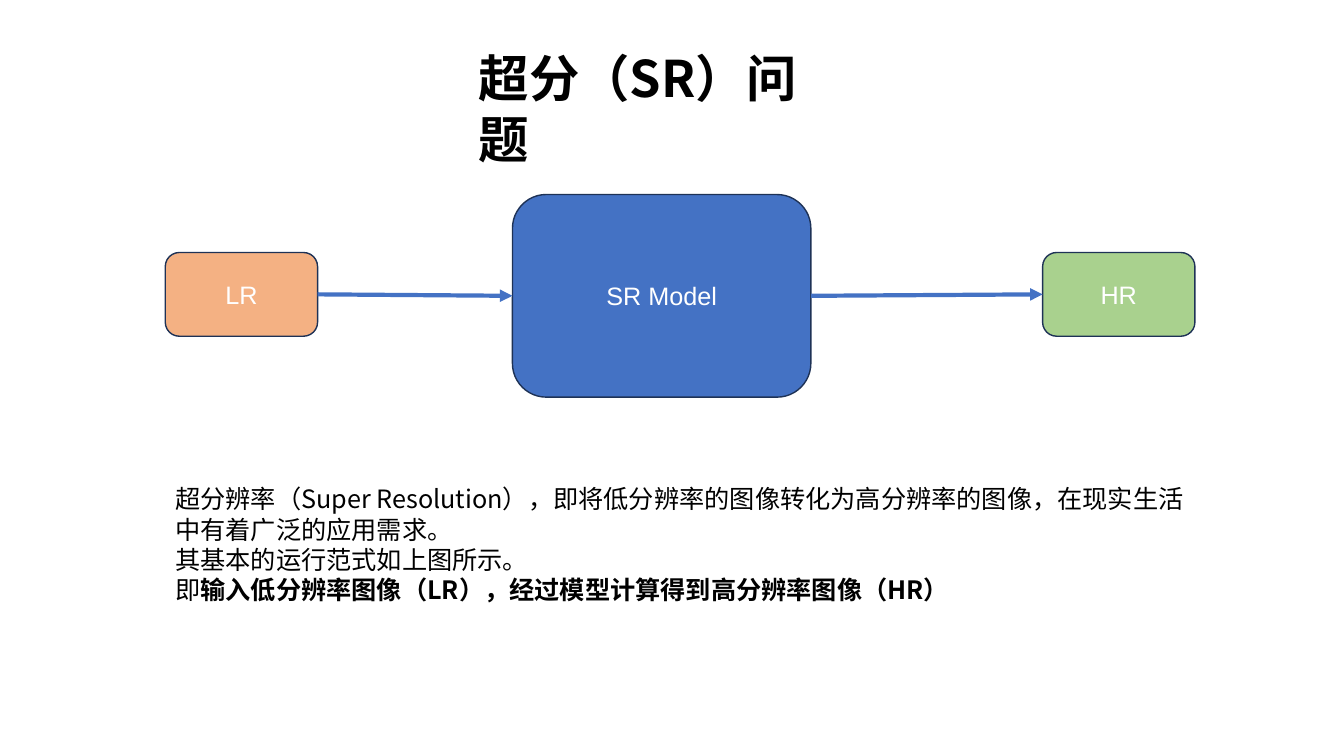
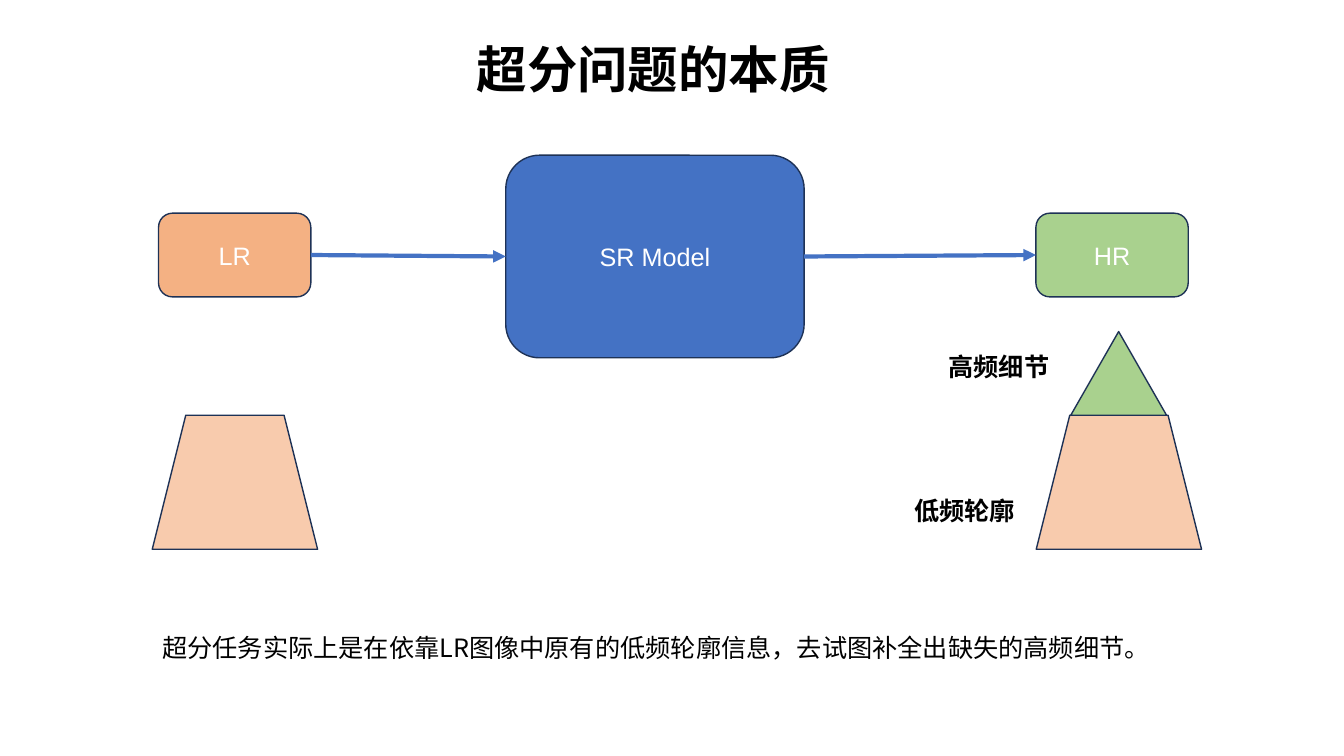
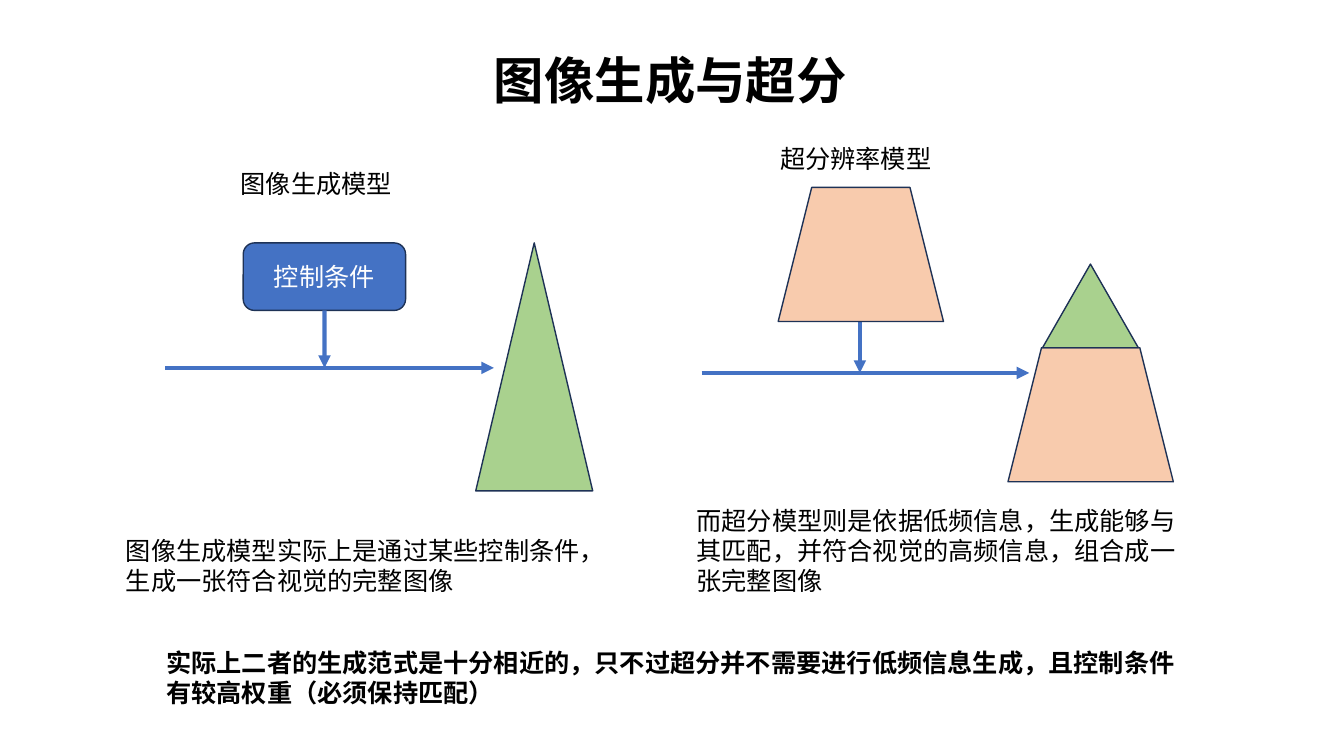
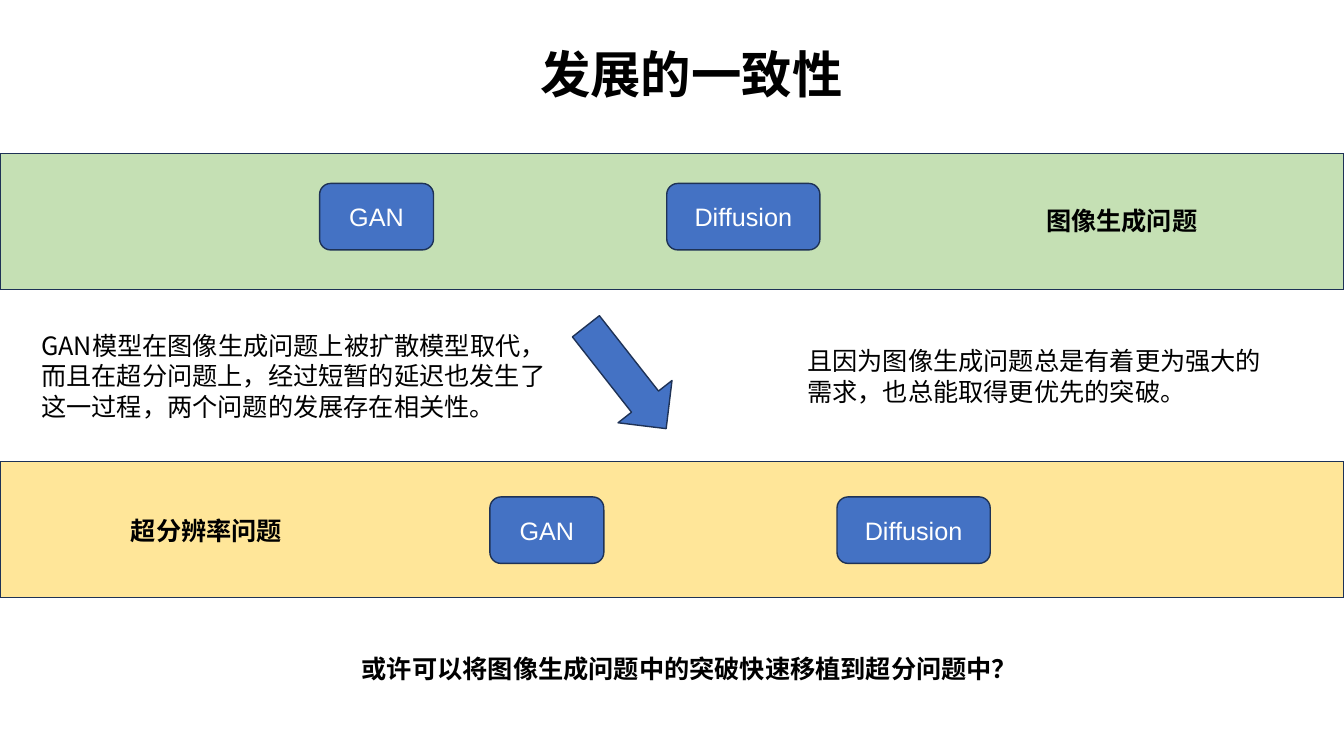
from lxml import etree
from pptx import Presentation
from pptx.dml.color import RGBColor
from pptx.enum.shapes import MSO_CONNECTOR, MSO_SHAPE
from pptx.enum.text import MSO_ANCHOR, PP_ALIGN
from pptx.oxml.ns import qn
from pptx.util import Inches, Pt

RECT, ROUND = MSO_SHAPE.RECTANGLE, MSO_SHAPE.ROUNDED_RECTANGLE
TRAP, PEAK = MSO_SHAPE.TRAPEZOID, MSO_SHAPE.ISOSCELES_TRIANGLE
DOWN, LINE = MSO_SHAPE.DOWN_ARROW, MSO_CONNECTOR.STRAIGHT
MIDDLE, CENTER = MSO_ANCHOR.MIDDLE, PP_ALIGN.CENTER
HAN, LATIN = "Noto Sans CJK SC", "Arial"
BLUE, EDGE, GREEN = "4472C4", "1E3256", "A9D18E"
ORANGE, PEACH, MINT, GOLD = "F4B183", "F8CBAD", "C5E0B4", "FFE699"

deck = Presentation()
deck.slide_width, deck.slide_height = Inches(13.33), Inches(7.5)
# All lengths are percent of the slide's width or height
COL, ROW = deck.slide_width / 100, deck.slide_height / 100
hue = RGBColor.from_string


def draw(page, kind, x, y, w, h, text="", fill=BLUE, size=18, bold=False):
    """Add a filled shape, or a plain text box when kind is None."""
    area = int(x * COL), int(y * ROW), int(w * COL), int(h * ROW)
    if kind is None:
        item = page.shapes.add_textbox(*area)
    else:
        item = page.shapes.add_shape(kind, *area)
        item.shadow.inherit = False
        item.fill.solid()
        item.fill.fore_color.rgb = hue(fill)
        item.line.color.rgb = hue(EDGE)
        item.line.width = Pt(1)
        item.text_frame.vertical_anchor = MIDDLE
    frame = item.text_frame
    frame.word_wrap = True
    frame.text = text
    for para in frame.paragraphs:
        if kind is not None:
            para.alignment = CENTER
        for run in para.runs:
            run.font.size, run.font.bold = Pt(size), bold
            run.font.name = HAN if kind is None else LATIN
            run.font.color.rgb = hue("000000" if kind is None else "FFFFFF")
    return item


def link(page, x1, y1, x2, y2):
    """Add a blue arrow."""
    arrow = page.shapes.add_connector(
        LINE, int(x1 * COL), int(y1 * ROW), int(x2 * COL), int(y2 * ROW))
    arrow.line.color.rgb = hue(BLUE)
    arrow.line.width = Pt(3)
    props = arrow.element.spPr
    etree.SubElement(props.find(qn("a:ln")), qn("a:tailEnd"), type="triangle")
    etree.SubElement(props, qn("a:effectLst"))
    return arrow


# Slides and titles
pages = []
for title, x, y, w in [
    ("超分（SR）问题", 34.88, 5.6, 28.65),
    ("超分问题的本质", 34.73, 4.4, 28.05),
    ("图像生成与超分", 36, 5.87, 28.05),
    ("发展的一致性", 39.45, 5.07, 24.23),
]:
    page = deck.slides.add_slide(deck.slide_layouts[6])
    draw(page, None, x, y, w, 9.47, title, size=36, bold=True)
    pages.append(page)
task, core, pair, trend = pages

# Model flow on the first two slides
for page, x, y in [(task, 12.3, 25.73), (core, 11.8, 20.53)]:
    low = draw(page, ROUND, x, y + 7.67, 11.33, 11.07, "LR", ORANGE)
    high = draw(page, ROUND, x + 65.28, y + 7.67, 11.33, 11.07, "HR", GREEN)
    model = draw(page, ROUND, x + 25.83, y, 22.2, 26.8, "SR Model")
    for start, end in [(low, model), (model, high)]:
        arrow = link(page, 0, 0, 1, 1)
        arrow.begin_connect(start, 3)
        arrow.end_connect(end, 1)

# Slide 1: text with a bold ending
note = draw(task, None, 12.3, 63.33, 76.58, 17.47,
            "超分辨率（Super Resolution），即将低分辨率的图像转化为高分辨率的图像，"
            "在现实生活中有着广泛的应用需求。\n其基本的运行范式如上图所示。\n即")
tail = note.text_frame.paragraphs[-1].add_run()
tail.text = "输入低分辨率图像（LR），经过模型计算得到高分辨率图像（HR）"
tail.font.size, tail.font.bold, tail.font.name = Pt(18), True, HAN
tail.font.color.rgb = hue("000000")

# Slide 3: arrows and control boxes
draw(pair, PEAK, 35.4, 32.13, 8.7, 32.8, fill=GREEN)
link(pair, 12.3, 48.67, 36.75, 48.67)
control = draw(pair, ROUND, 18.1, 32.13, 12.08, 8.93, "控制条件")
link(pair, 24.15, 41.07, 24.15, 48.67).begin_connect(control, 2)
link(pair, 52.2, 49.33, 76.58, 49.33)
link(pair, 63.98, 41.87, 63.98, 49.33)

# Trapezoids, with a peak where the detail is complete
for page, x, y, whole in [
    (core, 11.33, 54.93, False),
    (core, 77.1, 54.93, True),
    (pair, 57.9, 24.8, False),
    (pair, 75, 46, True),
]:
    draw(page, TRAP, x, y, 12.3, 17.73, fill=PEACH)
    if whole:
        draw(page, PEAK, x + 2.57, y - 11.07, 7.13, 11.07, fill=GREEN)

# Slide 4: bands with their models
for y, fill, x, top in [(20.27, MINT, 23.78, 24.27), (61.07, GOLD, 36.45, 65.73)]:
    draw(trend, RECT, 0, y, 100, 18, fill=fill)
    draw(trend, ROUND, x, top, 8.48, 8.8, "GAN")
    draw(trend, ROUND, x + 25.83, top, 11.4, 8.8, "Diffusion")
draw(trend, DOWN, 44.03, 41.33, 5.1, 17.2).rotation = 321.9

# Labels and notes
for page, x, y, w, h, bold, text in [
    (core, 69.83, 45.87, 9.08, 5.33, True, "高频细节"),
    (core, 67.28, 64.8, 9.08, 5.33, True, "低频轮廓"),
    (core, 11.33, 82.93, 76.58, 5.33, False,
     "超分任务实际上是在依靠LR图像中原有的低频轮廓信息，去试图补全出缺失的高频细节。"),
    (pair, 17.18, 21.6, 13.05, 5.33, False, "图像生成模型"),
    (pair, 57.3, 18.27, 12.9, 5.33, False, "超分辨率模型"),
    (pair, 8.63, 70.13, 38.25, 9.47, False,
     "图像生成模型实际上是通过某些控制条件，生成一张符合视觉的完整图像"),
    (pair, 51.08, 66.13, 38.25, 13.47, False,
     "而超分模型则是依据低频信息，生成能够与其匹配，并符合视觉的高频信息，"
     "组合成一张完整图像"),
    (pair, 11.63, 84.93, 76.73, 9.47, True,
     "实际上二者的生成范式是十分相近的，只不过超分并不需要进行低频信息生成，"
     "且控制条件有较高权重（必须保持匹配）"),
    (trend, 77.1, 26.53, 12.9, 5.33, True, "图像生成问题"),
    (trend, 9, 67.47, 12.9, 5.33, True, "超分辨率问题"),
    (trend, 2.33, 43.07, 40.65, 13.47, False,
     "GAN模型在图像生成问题上被扩散模型取代，而且在超分问题上，"
     "经过短暂的延迟也发生了这一过程，两个问题的发展存在相关性。"),
    (trend, 59.33, 45.07, 35.55, 9.47, False,
     "且因为图像生成问题总是有着更为强大的需求，也总能取得更优先的突破。"),
    (trend, 26.18, 85.73, 50.78, 5.33, True,
     "或许可以将图像生成问题中的突破快速移植到超分问题中？"),
]:
    draw(page, None, x, y, w, h, text, bold=bold)

# East Asian font for every run
for page in pages:
    for item in page.shapes:
        if item.has_text_frame:
            for para in item.text_frame.paragraphs:
                for run in para.runs:
                    props = run.font.fill and run.font._element
                    etree.SubElement(props, qn("a:ea"), typeface=HAN)

deck.save("out.pptx")
